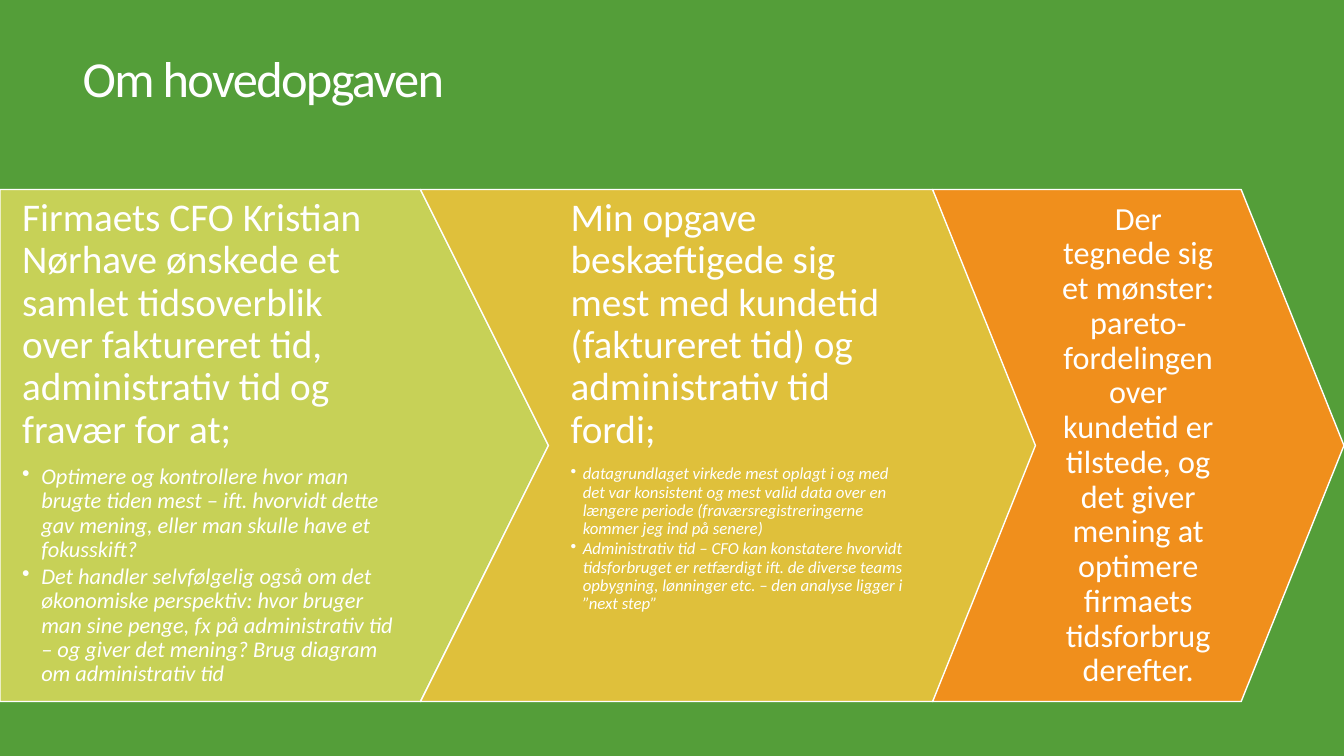
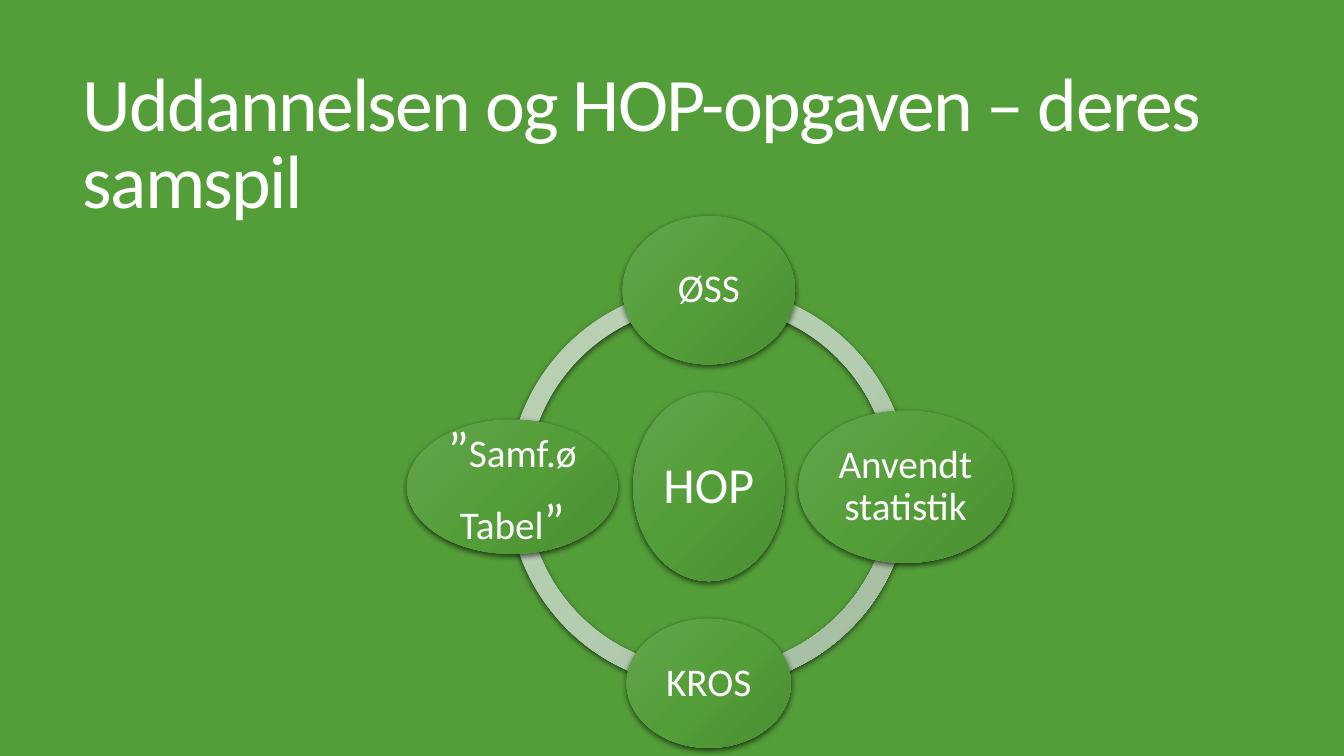
from lxml import etree
from pptx import Presentation
from pptx.dml.color import RGBColor
from pptx.enum.shapes import MSO_SHAPE
from pptx.enum.text import MSO_ANCHOR, MSO_AUTO_SIZE, PP_ALIGN
from pptx.oxml import parse_xml
from pptx.oxml.ns import qn
from pptx.util import Inches, Pt

LEFT, CENTER = PP_ALIGN.LEFT, PP_ALIGN.CENTER
TOP, MIDDLE = MSO_ANCHOR.TOP, MSO_ANCHOR.MIDDLE
PENTAGON, CHEVRON = MSO_SHAPE.PENTAGON, MSO_SHAPE.CHEVRON
OVAL, BLOCK_ARC = MSO_SHAPE.OVAL, MSO_SHAPE.BLOCK_ARC

FONT = "Calibri"
WHITE = RGBColor(0xFF, 0xFF, 0xFF)
GREEN = RGBColor(0x54, 0x9E, 0x39)
LIME = RGBColor(0xC7, 0xD1, 0x57)
YELLOW = RGBColor(0xDF, 0xC0, 0x3B)
ORANGE = RGBColor(0xF0, 0x8F, 0x1C)
RING_SHADES = [RGBColor(0xBB, 0xD1, 0xB7), RGBColor(0xB4, 0xCC, 0xAF), RGBColor(0xA1, 0xB8, 0x9D)]
NODE_SHADES = [RGBColor(0x62, 0xA5, 0x4D), GREEN, RGBColor(0x4B, 0x8E, 0x33)]

# Content of slide 1: shape, width, fill, heading, bullets and text settings
ARROWS = [
    dict(kind=PENTAGON, width=5.44, fill=LIME, insets=(0.22, 0.08, 0.9, 0.08),
         heading="Firmaets CFO Kristian Nørhave ønskede et samlet tidsoverblik over "
                 "faktureret tid, administrativ tid og fravær for at;",
         size=28, bullet_size=16, indent=0.19,
         bullets=["Optimere og kontrollere hvor man brugte tiden mest – ift. hvorvidt dette "
                  "gav mening, eller man skulle have et fokusskift?",
                  "Det handler selvfølgelig også om det økonomiske perspektiv: hvor bruger man "
                  "sine penge, fx på administrativ tid – og giver det mening? Brug diagram om "
                  "administrativ tid"]),
    dict(kind=CHEVRON, width=6.35, fill=YELLOW, insets=(0.22, 0.08, 0.22, 0.08),
         heading="Min opgave beskæftigede sig mest med kundetid (faktureret tid) og "
                 "administrativ tid fordi;",
         size=28, bullet_size=12, indent=0.12,
         bullets=["datagrundlaget virkede mest oplagt i og med det var konsistent og mest valid "
                  "data over en længere periode (fraværsregistreringerne kommer jeg ind på senere)",
                  "Administrativ tid – CFO kan konstatere hvorvidt tidsforbruget er retfærdigt "
                  "ift. de diverse teams opbygning, lønninger etc. – den analyse ligger i "
                  "”next step”"]),
    dict(kind=CHEVRON, width=4.08, fill=ORANGE, insets=(0.22, 0.06, 0.22, 0.06),
         heading="Der tegnede sig et mønster: pareto-fordelingen over kundetid er tilstede, og "
                 "det giver mening at optimere firmaets tidsforbrug derefter.",
         size=23, bullets=[]),
]
ARROW_TOP, ARROW_HEIGHT, ARROW_OVERLAP = 1.88, 5.08, 1.27

# Content of slide 2: direction from the centre, size, paragraphs of (text, size) runs
NODES = [
    ((0, 0), (1.5, 1.87), [[("HOP", 36)]]),
    ((0, -1), (1.71, 1.47), [[("ØSS", 28)]]),
    ((1, 0), (2.12, 1.51), [[("Anvendt statistik", 28)]]),
    ((0, 1), (1.63, 1.28), [[("KROS", 28)]]),
    ((-1, 0), (2.09, 1.33), [[("”", 36), ("Samf.ø", 28)], [("Tabel", 28), ("”", 36)]]),
]
CENTER_X, CENTER_Y, ORBIT, RING_SIZE = 7.03, 4.83, 1.95, 3.98
QUARTER = 54  # quarter turn in shape adjustment units


def add_run(p, text, size, italic=False):
    r = p.add_run()
    r.text = text
    r.font.name, r.font.size, r.font.italic = FONT, Pt(size), italic
    r.font.color.rgb = WHITE
    return r


def add_title_slide(prs, text, size, box):
    s = prs.slides.add_slide(prs.slide_layouts[5])
    title = s.shapes.title
    title.left, title.top, title.width, title.height = map(Inches, box)
    tf = title.text_frame
    tf.word_wrap, tf.auto_size, tf.vertical_anchor = True, MSO_AUTO_SIZE.NONE, MIDDLE
    p = tf.paragraphs[0]
    p.alignment, p.line_spacing = LEFT, 0.85
    add_run(p, text, size).font._element.set("spc", "-120")
    return s


def add_shape(s, kind, left, top, width, height):
    sp = s.shapes.add_shape(kind, *map(Inches, (left, top, width, height)))
    sp.shadow.inherit = False
    return sp


def set_frame(sp, insets, anchor):
    tf = sp.text_frame
    tf.word_wrap, tf.vertical_anchor = True, anchor
    tf.margin_left, tf.margin_top, tf.margin_right, tf.margin_bottom = map(Inches, insets)
    return tf


def add_paragraph(tf, runs, align, after=35, indent=0, italic=False):
    """Add a paragraph; after is the gap below in percent of a line."""
    p = tf.paragraphs[0]
    if p.runs:
        p = tf.add_paragraph()
    p.alignment, p.line_spacing = align, 0.9
    for text, size in runs:
        add_run(p, text, size, italic)
    pPr = p._p.get_or_add_pPr()
    gap = etree.SubElement(pPr, qn("a:spcAft"))
    etree.SubElement(gap, qn("a:spcPct")).set("val", str(after * 1000))
    if indent:
        pPr.set("marL", str(Inches(indent)))
        pPr.set("indent", str(-Inches(indent)))
        etree.SubElement(pPr, qn("a:buChar")).set("char", "•")


def shade(sp, colors):
    """Diagonal three-stop gradient, no outline, soft shadow below."""
    sp.line.fill.background()
    ns = 'xmlns:a="http://schemas.openxmlformats.org/drawingml/2006/main"'
    stops = "".join(f'<a:gs pos="{i * 50000}"><a:srgbClr val="{c}"/></a:gs>'
                    for i, c in enumerate(colors))
    spPr = sp._element.spPr
    spPr.find(qn("a:prstGeom")).addnext(parse_xml(
        f'<a:gradFill {ns} rotWithShape="1"><a:gsLst>{stops}</a:gsLst>'
        '<a:lin ang="2700000" scaled="0"/></a:gradFill>'))
    spPr.find(qn("a:effectLst")).append(parse_xml(
        f'<a:outerShdw {ns} blurRad="{Pt(4.5)}" dist="{Pt(1.5)}" dir="5400000" algn="ctr" '
        'rotWithShape="0"><a:srgbClr val="000000"><a:alpha val="63000"/></a:srgbClr>'
        '</a:outerShdw>'))


def build_arrows(prs):
    s = add_title_slide(prs, "Om hovedopgaven", 36, (0.72, 0.55, 9.74, 0.52))
    left = 0
    for arrow in ARROWS:
        sp = add_shape(s, arrow["kind"], left, ARROW_TOP, arrow["width"], ARROW_HEIGHT)
        sp.adjustments[0] = 0.25
        sp.fill.solid()
        sp.fill.fore_color.rgb = arrow["fill"]
        sp.line.color.rgb, sp.line.width = WHITE, Pt(1)
        bullets = arrow["bullets"]
        tf = set_frame(sp, arrow["insets"], TOP if bullets else MIDDLE)
        add_paragraph(tf, [(arrow["heading"], arrow["size"])], LEFT if bullets else CENTER)
        for text in bullets:
            add_paragraph(tf, [(text, arrow["bullet_size"])], LEFT, 15, arrow["indent"], True)
        left += arrow["width"] - ARROW_OVERLAP


def build_ring(prs):
    s = add_title_slide(prs, "Uddannelsen og HOP-opgaven – deres samspil", 54,
                        (0.72, 0.55, 11.78, 1.81))
    # Ring in four quarters
    for i in (2, 1, 0, 3):
        sp = add_shape(s, BLOCK_ARC, CENTER_X - RING_SIZE / 2, CENTER_Y - RING_SIZE / 2,
                       RING_SIZE, RING_SIZE)
        for k, value in enumerate((i * QUARTER, (i + 1) % 4 * QUARTER, 0.046)):
            sp.adjustments[k] = value
        shade(sp, RING_SHADES)
    # Centre and the four subjects around it
    for (dx, dy), (width, height), paragraphs in NODES:
        sp = add_shape(s, OVAL, CENTER_X + dx * ORBIT - width / 2,
                       CENTER_Y + dy * ORBIT - height / 2, width, height)
        shade(sp, NODE_SHADES)
        tf = set_frame(sp, (0.04,) * 4, MIDDLE)
        for runs in paragraphs:
            add_paragraph(tf, runs, CENTER)


def main():
    prs = Presentation()
    prs.slide_width, prs.slide_height = Inches(13.33), Inches(7.5)
    background = prs.slide_master.background.fill
    background.solid()
    background.fore_color.rgb = GREEN
    build_arrows(prs)
    build_ring(prs)
    prs.save("out.pptx")


if __name__ == "__main__":
    main()
